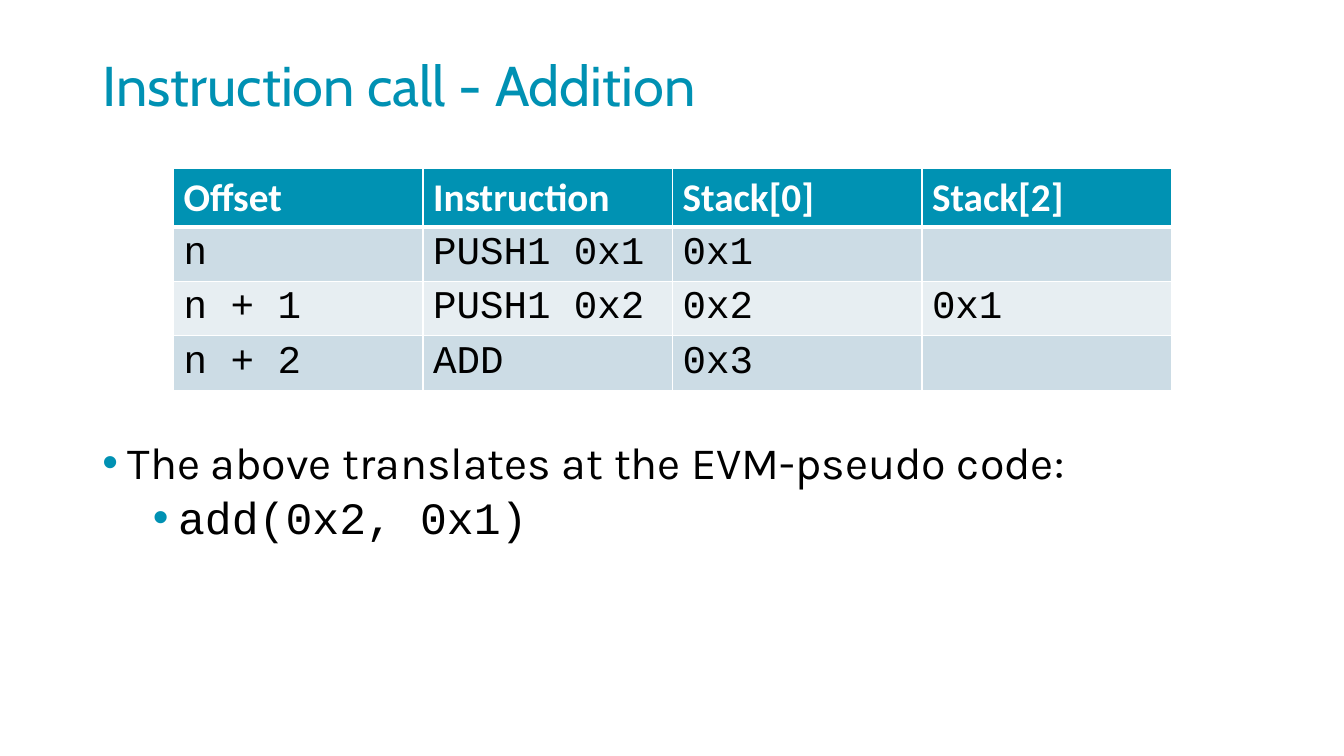
from lxml import etree
from pptx import Presentation, util as u
from pptx.dml.color import RGBColor
from pptx.enum import text
from pptx.oxml import ns


def rgb(hex_code):
    return RGBColor.from_string(hex_code)


class Deck:
    """Holds the style and the current slide, and adds each kind of element."""

    heading, prose, label, code = "Cabin", "Karla", "Calibri", "Courier New"
    accent, header, ink, paper = "0091B3", "0092B3", "000000", "FFFFFF"
    bands = ("CCDCE5", "E7EEF2")

    def __init__(self, width, height):
        self.deck = Presentation()
        self.deck.slide_width, self.deck.slide_height = u.Pt(width), u.Pt(height)
        self.slide = self.deck.slides.add_slide(self.deck.slide_layouts[1])

    def place(self, holder, box, anchor):
        holder.left, holder.top, holder.width, holder.height = map(u.Pt, box)
        frame = holder.text_frame
        frame.word_wrap = True
        frame.auto_size = text.MSO_AUTO_SIZE.NONE
        frame.vertical_anchor = anchor
        return frame

    def add_words(self, paragraph, words, font, size, colour, bold=False):
        paragraph.alignment = text.PP_ALIGN.LEFT
        run = paragraph.add_run()
        run.text = words
        run.font.name, run.font.size, run.font.bold = font, u.Pt(size), bold
        run.font.color.rgb = rgb(colour)

    def title(self, words, box):
        frame = self.place(self.slide.shapes.title, box, text.MSO_ANCHOR.MIDDLE)
        heading = frame.paragraphs[0]
        heading.line_spacing = 0.9
        self.add_words(heading, words, self.heading, 40, self.accent)

    def bullets(self, points, box):
        frame = self.place(self.slide.placeholders[1], box, text.MSO_ANCHOR.TOP)
        for level, (words, font) in enumerate(points):
            point = frame.add_paragraph() if level else frame.paragraphs[0]
            point.level = level
            point.line_spacing = 0.9
            point.space_before = u.Pt(5 if level else 10)
            self.add_words(point, words, font, 32, self.ink)
            self.bullet(point, indent=18 + 36 * level)

    def bullet(self, point, indent):
        props = point._p.get_or_add_pPr()
        props.set("marL", str(u.Pt(indent)))
        props.set("indent", str(u.Pt(-18)))
        colour = etree.SubElement(props, ns.qn("a:buClr"))
        etree.SubElement(colour, ns.qn("a:srgbClr"), val=self.accent)
        etree.SubElement(props, ns.qn("a:buChar"), char="•")

    def borders(self, cell, widths):
        props = cell._tc.get_or_add_tcPr()
        for side, width in zip("LRTB", widths):
            line = etree.SubElement(props, ns.qn(f"a:ln{side}"), w=str(u.Pt(width)))
            fill = etree.SubElement(line, ns.qn("a:solidFill"))
            etree.SubElement(fill, ns.qn("a:srgbClr"), val=self.paper)

    def table(self, rows, left, top, column, heights):
        box = (left, top, column * len(rows[0]), sum(heights))
        grid = self.slide.shapes.add_table(len(rows), len(rows[0]), *map(u.Pt, box)).table
        for col in grid.columns:
            col.width = u.Pt(column)
        for r, (entries, height) in enumerate(zip(rows, heights)):
            grid.rows[r].height = u.Pt(height)
            for c, entry in enumerate(entries):
                cell = grid.cell(r, c)
                self.borders(cell, (1, 1, 3 if r == 1 else 1, 1 if r else 3))
                cell.fill.solid()
                cell.fill.fore_color.rgb = rgb(self.bands[(r - 1) % 2] if r else self.header)
                if entry:
                    style = (self.code, 28, self.ink) if r else (self.label, 28, self.paper, True)
                    self.add_words(cell.text_frame.paragraphs[0], entry, *style)


def main():
    deck = Deck(960, 540)
    deck.title("Instruction call - Addition", (66, 33, 655, 60))
    deck.bullets(
        [("The above translates at the EVM-pseudo code:", Deck.prose),
         ("add(0x2, 0x1)", Deck.code)],
        (66, 311, 828, 175),
    )
    deck.table(
        [("Offset", "Instruction", "Stack[0]", "Stack[2]"),
         ("n", "PUSH1 0x1", "0x1", ""),
         ("n + 1", "PUSH1 0x2", "0x2", "0x1"),
         ("n + 2", "ADD", "0x3", "")],
        left=124, top=120.5, column=178.2, heights=(41, 39, 39, 39),
    )
    deck.deck.save("out.pptx")


if __name__ == "__main__":
    main()
